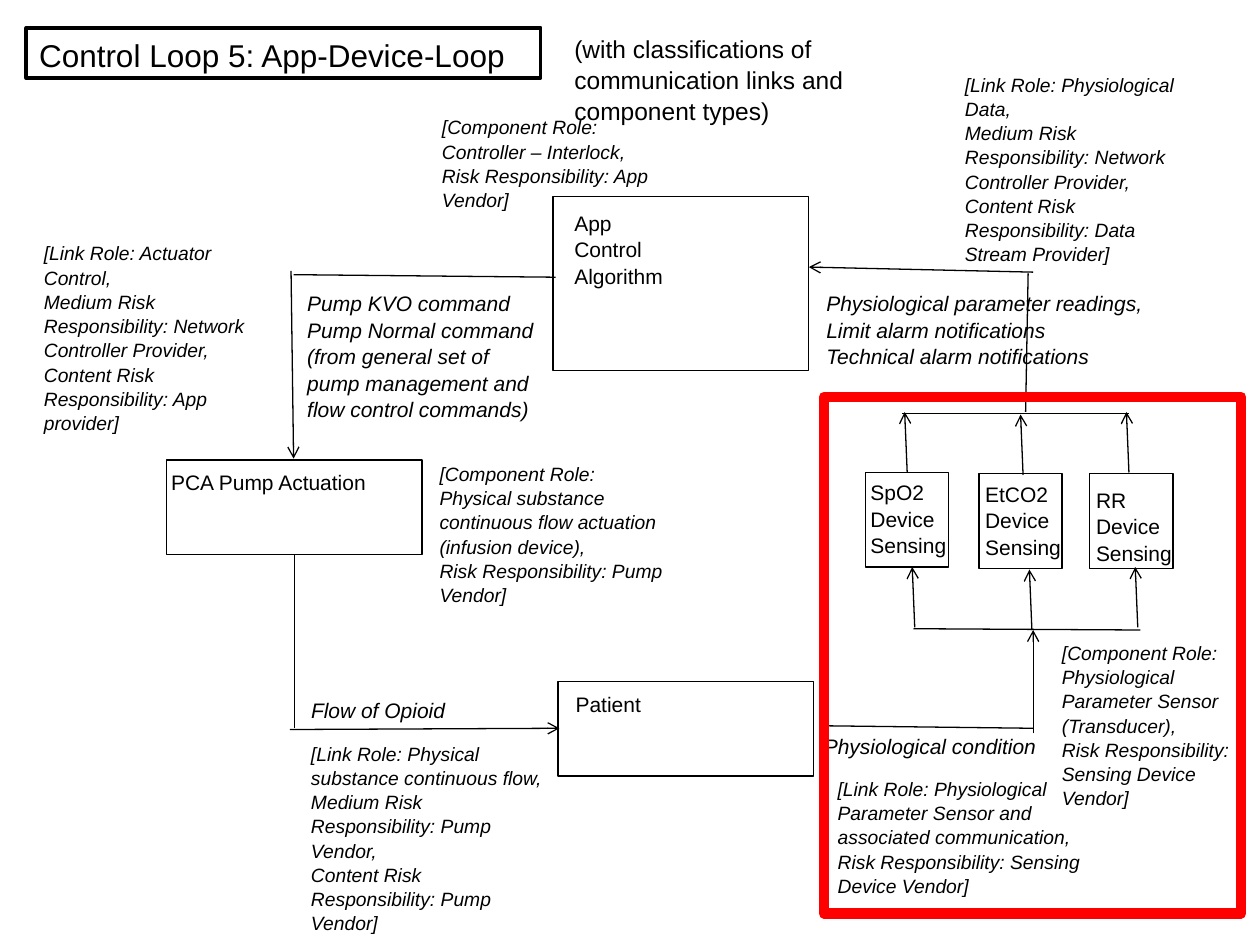
from lxml import etree
from pptx import Presentation
from pptx.dml.color import RGBColor
from pptx.enum.shapes import MSO_CONNECTOR, MSO_SHAPE
from pptx.enum.text import MSO_ANCHOR, MSO_AUTO_SIZE, PP_ALIGN
from pptx.oxml.ns import qn
from pptx.util import Inches, Pt

STRAIGHT = MSO_CONNECTOR.STRAIGHT
RECTANGLE = MSO_SHAPE.RECTANGLE
TOP = MSO_ANCHOR.TOP
LEFT = PP_ALIGN.LEFT
NO_AUTOFIT = MSO_AUTO_SIZE.NONE

BLACK = RGBColor(0, 0, 0)
RED = RGBColor(255, 0, 0)
FONT = "Arial"
LINE_SPACING = 1.05
TITLE_ONLY = 5

COMPONENTS = [(4.39, 1.56, 2.03, 1.38), (1.32, 3.65, 2.03, 0.75), (4.43, 5.41, 2.03, 0.75)]

COMPONENT_NAMES = [
    ((4.46, 1.61, 0.93, 0.71), ["App", "Control", "Algorithm"]),
    ((1.26, 3.67, 1.76, 0.3), ["PCA Pump Actuation"]),
    ((4.47, 5.43, 0.73, 0.3), ["Patient"]),
]

# name, box left and top, label left and top, x of the arrows out and in, arrow drop
SENSORS = [
    ("SpO2", 6.87, 3.75, 6.81, 3.75, 7.2, 7.26, 0),
    ("EtCO2", 7.77, 3.76, 7.72, 3.76, 8.12, 8.19, 0.02),
    ("RR", 8.65, 3.76, 8.6, 3.81, 8.96, 9.03, 0),
]

# start, end, whether the end has an arrowhead
LINKS = [
    ((2.3, 5.79), (4.44, 5.78), True),
    ((2.34, 4.4), (2.34, 5.78), False),
    ((8.2, 5.82), (8.2, 5), True),
    ((6.51, 5.76), (8.2, 5.78), False),
    ((8.2, 2.16), (6.42, 2.12), True),
    ((8.14, 3.27), (8.16, 2.17), False),
    ((2.31, 2.15), (2.33, 3.64), True),
    ((4.41, 2.2), (2.33, 2.18), False),
    ((7.16, 3.28), (8.96, 3.28), False),
    ((7.25, 4.99), (9.05, 5), False),
]

FLOWS = [
    ((2.37, 5.48, 1.51, 0.3), ["Flow of Opioid"]),
    ((6.44, 5.76, 2.77, 0.3), ["Physiological condition"]),
    ((6.46, 2.25, 2.77, 0.71), ["Physiological parameter readings,",
                                "Limit alarm notifications",
                                "Technical alarm notifications"]),
    ((2.34, 2.25, 2.07, 1.11), ["Pump KVO command", "Pump Normal command",
                                "(from general set of pump management and flow control commands)"]),
]

NETWORK_RISK = "Medium Risk Responsibility: Network Controller Provider,"
SENSING_RISK = "Risk Responsibility: Sensing Device Vendor]"
ROLES = [
    ((2.37, 5.83, 2.03, 1.58), ["[Link Role: Physical substance continuous flow,",
                                "Medium Risk Responsibility: Pump Vendor,",
                                "Content Risk Responsibility: Pump Vendor]"]),
    ((3.39, 3.61, 2.03, 1.21), ["[Component Role: Physical substance continuous flow "
                                "actuation (infusion device),",
                                "Risk Responsibility: Pump Vendor]"]),
    ((0.25, 1.86, 2.03, 1.58), ["[Link Role: Actuator Control,", NETWORK_RISK,
                                "Content Risk Responsibility: App provider]"]),
    ((7.56, 0.52, 2.03, 1.58), ["[Link Role: Physiological Data,", NETWORK_RISK,
                                "Content Risk Responsibility: Data Stream Provider]"]),
    ((8.33, 5.03, 1.67, 1.4), ["[Component Role: Physiological Parameter Sensor (Transducer),",
                               SENSING_RISK]),
    ((6.55, 6.11, 2.34, 1.03), ["[Link Role: Physiological Parameter Sensor and "
                                "associated communication,", SENSING_RISK]),
    ((3.41, 0.86, 2.03, 0.84), ["[Component Role: Controller – Interlock,",
                                "Risk Responsibility: App Vendor]"]),
]


def inches(values):
    return [Inches(value) for value in values]


def write(shape, lines, size, italic=False, wrap=True):
    text_frame = shape.text_frame
    text_frame.text = "\n".join(lines)
    text_frame.word_wrap = wrap
    text_frame.auto_size = NO_AUTOFIT
    text_frame.vertical_anchor = TOP
    for paragraph in text_frame.paragraphs:
        paragraph.alignment = LEFT
        paragraph.line_spacing = LINE_SPACING
        for run in paragraph.runs:
            run.font.name = FONT
            run.font.size = Pt(size)
            run.font.italic = italic
            run.font.color.rgb = BLACK


def add_label(slide, position, lines, size, italic=False, wrap=True):
    write(slide.shapes.add_textbox(*inches(position)), lines, size, italic, wrap)


def add_frame(slide, position, color=BLACK, width=0.75):
    frame = slide.shapes.add_shape(RECTANGLE, *inches(position))
    frame.shadow.inherit = False
    frame.fill.background()
    frame.line.color.rgb = color
    frame.line.width = Pt(width)


def add_link(slide, start, end, arrow=True):
    link = slide.shapes.add_connector(STRAIGHT, *inches(start + end))
    link.line.color.rgb = BLACK
    link.line.width = Pt(0.75)
    properties = link._element.spPr
    if arrow:
        line = properties.find(qn("a:ln"))
        etree.SubElement(line, qn("a:tailEnd"), type="arrow")
    etree.SubElement(properties, qn("a:effectLst"))


def add_title(slide):
    title = slide.shapes.title
    title.left, title.top, title.width, title.height = inches((0.21, 0.22, 4.08, 0.4))
    title.line.color.rgb = BLACK
    title.line.width = Pt(2.25)
    write(title, ["Control Loop 5: App-Device-Loop"], 18, wrap=False)


def add_sensor(slide, name, left, top, label_left, label_top, out_x, in_x, drop):
    add_frame(slide, (left, top, 0.66, 0.75))
    add_label(slide, (label_left, label_top, 0.81, 0.71), [name, "Device", "Sensing"], 12, wrap=False)
    for x, y in ((out_x, 3.75 + drop), (in_x, 4.98 + drop)):
        add_link(slide, (x, y), (x - 0.02, y - 0.48))


def main():
    presentation = Presentation()
    presentation.slide_width, presentation.slide_height = inches((10, 7.5))
    slide = presentation.slides.add_slide(presentation.slide_layouts[TITLE_ONLY])
    add_title(slide)
    for position in COMPONENTS:
        add_frame(slide, position)
    for position, lines in COMPONENT_NAMES:
        add_label(slide, position, lines, 12, wrap=False)
    for link in LINKS:
        add_link(slide, *link)
    for sensor in SENSORS:
        add_sensor(slide, *sensor)
    for position, lines in FLOWS:
        add_label(slide, position, lines, 12, italic=True)
    add_label(slide, (4.46, 0.21, 3.21, 0.81),
              ["(with classifications of communication links and component types)"], 14)
    for position, lines in ROLES:
        add_label(slide, position, lines, 11, italic=True)
    add_frame(slide, (6.54, 3.15, 3.31, 4.1), RED, 6)
    presentation.save("out.pptx")


if __name__ == "__main__":
    main()
